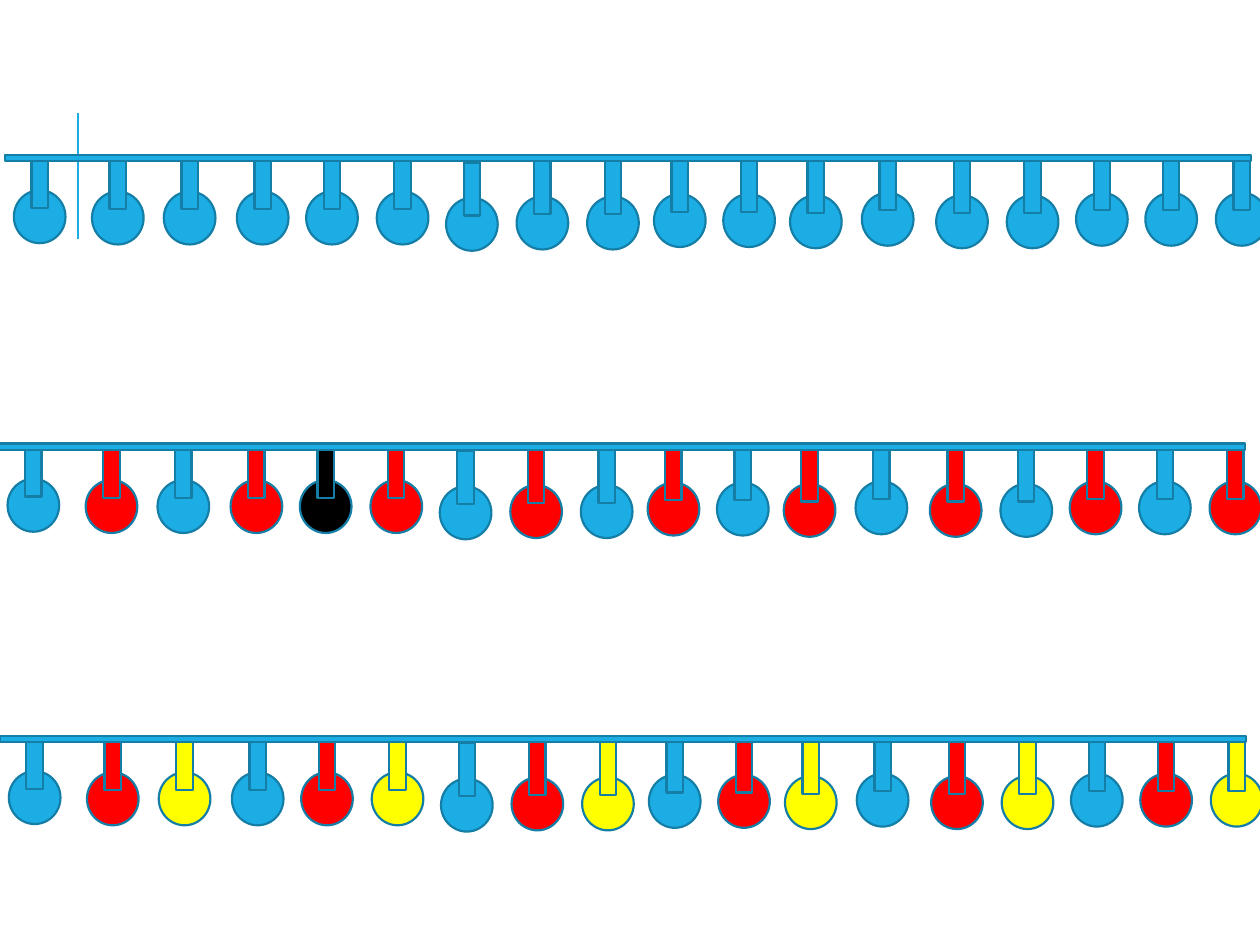
from itertools import cycle

from pptx import Presentation
from pptx.dml.color import RGBColor
from pptx.enum.shapes import MSO_CONNECTOR, MSO_SHAPE
from pptx.oxml.ns import qn
from pptx.util import Inches, Pt
from lxml import etree

BLUE, RED, YELLOW, BLACK = "1CADE4", "FF0000", "FFFF00", "000000"
OUTLINE = "147EA6"


def set_color(fmt, color):
    fmt.solid()
    fmt.fore_color.rgb = RGBColor.from_string(color)


def add_part(shapes, kind, left, top, width, height, color):
    sp = shapes.add_shape(kind, Inches(left), Inches(top), Inches(width), Inches(height))
    sp.shadow.inherit = False
    set_color(sp.fill, color)
    set_color(sp.line.fill, OUTLINE)
    sp.line.width = Pt(1.25)


prs = Presentation()
prs.slide_width, prs.slide_height = Inches(10), Inches(7.5)
s = prs.slides.add_slide(prs.slide_layouts[6])

rule = s.shapes.add_connector(
    MSO_CONNECTOR.STRAIGHT, Inches(0.62), Inches(1.9), Inches(0.62), Inches(0.9)
)
set_color(rule.line.fill, BLUE)
rule.line.width = Pt(1.5)
etree.SubElement(rule._element.spPr, qn("a:effectLst"))

bulb_offsets = [
    (0, 0), (0.62, 0.01), (1.19, 0.01), (1.77, 0.01), (2.32, 0.01), (2.88, 0.01),
    (3.43, 0.06), (3.99, 0.05), (4.55, 0.05), (5.08, 0.03), (5.63, 0.03), (6.16, 0.04),
    (6.73, 0.02), (7.32, 0.04), (7.88, 0.04), (8.43, 0.02), (8.98, 0.02), (9.54, 0.02),
]
strings = [
    (0.06, 3.8, [BLUE, RED], {4: BLACK}),
    (0.11, 1.51, [BLUE], {}),
    (0.07, 6.12, [BLUE, RED, YELLOW], {}),
]

for left, top, colors, exceptions in strings:
    for i, ((dx, dy), color) in enumerate(zip(bulb_offsets, cycle(colors))):
        color = exceptions.get(i, color)
        x, y = left + dx, top + dy
        bulb = s.shapes.add_group_shape()
        add_part(bulb.shapes, MSO_SHAPE.OVAL, x, y, 0.41, 0.42, color)
        add_part(bulb.shapes, MSO_SHAPE.RECTANGLE, x + 0.14, y - 0.28, 0.13, 0.42, color)
    add_part(s.shapes, MSO_SHAPE.RECTANGLE, left - 0.07, top - 0.28, 9.89, 0.05, BLUE)

prs.save("out.pptx")
